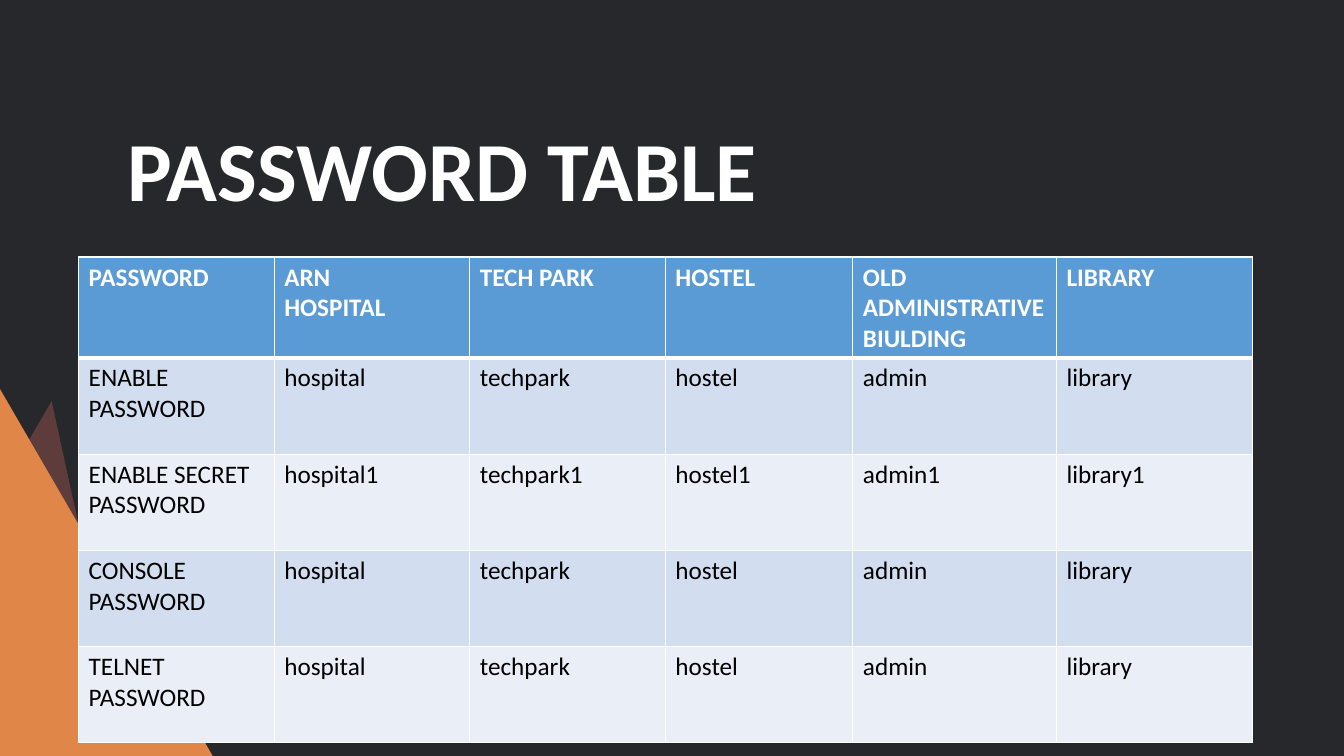
from lxml.etree import SubElement
from pptx import Presentation
from pptx.dml.color import RGBColor
from pptx.enum.text import MSO_ANCHOR as Anchor
from pptx.oxml.ns import qn
from pptx.util import Inches, Pt

FONT = "Calibri"
WHITE, BLACK, DARK = "FFFFFF", "000000", "27282C"
HEADER, BANDS = "5B9BD5", ("D2DEEF", "EAEFF7")
COLUMNS = (1.94, 1.94, 1.94, 1.86, 2.02, 1.94)
ROWS = (1, 0.955, 0.955, 0.955, 0.955)
PASSWORDS = (
    ("PASSWORD", "ARN\nHOSPITAL", "TECH PARK", "HOSTEL",
     "OLD\nADMINISTRATIVE\nBIULDING", "LIBRARY"),
    ("ENABLE\nPASSWORD", "hospital", "techpark", "hostel", "admin", "library"),
    ("ENABLE SECRET\nPASSWORD", "hospital1", "techpark1", "hostel1", "admin1", "library1"),
    ("CONSOLE\nPASSWORD", "hospital", "techpark", "hostel", "admin", "library"),
    ("TELNET\nPASSWORD", "hospital", "techpark", "hostel", "admin", "library"),
)


def paint(fill, color):
    fill.solid()
    fill.fore_color.rgb = RGBColor.from_string(color)


def write(tf, text, size, color, bold):
    for i, line in enumerate(text.split("\n")):
        p = tf.paragraphs[0] if i == 0 else tf.add_paragraph()
        r = p.add_run()
        r.text = line
        r.font.name = FONT
        r.font.size = Pt(size)
        r.font.bold = bold
        r.font.color.rgb = RGBColor.from_string(color)


def add_peak(slide, box, shares, color, alpha=None):
    x, y, w, h = box
    points = [(Inches(x + w * u), Inches(y + h * v)) for u, v in shares]
    builder = slide.shapes.build_freeform(*points[0])
    builder.add_line_segments(points[1:], close=True)
    sp = builder.convert_to_shape()
    sp.shadow.inherit = False
    sp.line.fill.background()
    paint(sp.fill, color)
    if alpha is not None:
        rgb = sp.fill._xPr.find(qn("a:solidFill"))[0]
        SubElement(rgb, qn("a:alpha"), val=str(alpha * 1000))


def add_mountains(slide):
    add_peak(slide, (0, 3.98, 1.28, 3.52),
             ((0.4, 0), (0, 0.25), (0, 1), (1, 1)), "E36C64", 30)
    add_peak(slide, (0, 3.86, 2.11, 3.64), ((0, 0), (1, 1), (0, 1)), "E08648")


def add_title(slide, box, text):
    sp = slide.shapes.add_textbox(*map(Inches, box))
    tf = sp.text_frame
    tf.word_wrap = True
    tf.vertical_anchor = Anchor.BOTTOM
    write(tf, text, 60, WHITE, True)
    tf.paragraphs[0].line_spacing = 0.9


def add_borders(cell, widths):
    tc_pr = cell._tc.get_or_add_tcPr()
    for side, width in zip("LRTB", widths):
        ln = SubElement(tc_pr, qn(f"a:ln{side}"), w=str(Pt(width)))
        SubElement(SubElement(ln, qn("a:solidFill")), qn("a:srgbClr"), val=WHITE)


def add_password_table(slide, left, top):
    frame = slide.shapes.add_table(
        len(ROWS), len(COLUMNS), Inches(left), Inches(top),
        Inches(sum(COLUMNS)), Inches(sum(ROWS)))
    table = frame.table
    for column, width in zip(table.columns, COLUMNS):
        column.width = Inches(width)
    for i, (row, height) in enumerate(zip(table.rows, ROWS)):
        row.height = Inches(height)
        head = i == 0
        for cell, text in zip(row.cells, PASSWORDS[i]):
            add_borders(cell, (1, 1, 3 if i == 1 else 1, 3 if head else 1))
            paint(cell.fill, HEADER if head else BANDS[(i - 1) % 2])
            write(cell.text_frame, text, 18, WHITE if head else BLACK, head)


def main():
    prs = Presentation()
    prs.slide_width, prs.slide_height = Inches(13.33), Inches(7.5)
    slide = prs.slides.add_slide(prs.slide_layouts[6])
    paint(slide.background.fill, DARK)
    add_mountains(slide)
    add_title(slide, (1.17, 0.86, 11.24, 1.37), "PASSWORD TABLE")
    add_password_table(slide, 0.78, 2.55)
    prs.save("out.pptx")


if __name__ == "__main__":
    main()
